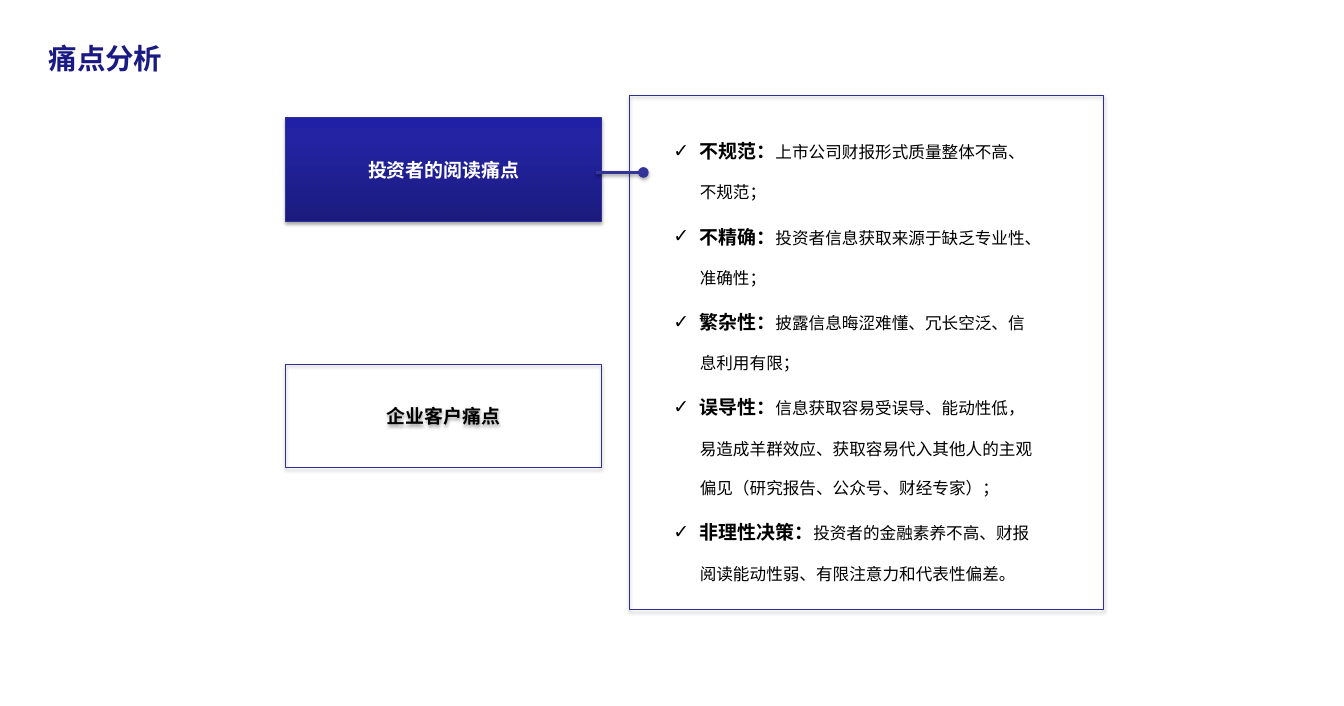
from copy import deepcopy
from dataclasses import dataclass

from lxml.etree import SubElement as Sub
from pptx import Presentation
from pptx.dml.color import RGBColor as RGB
from pptx.enum.shapes import MSO_CONNECTOR as Line, MSO_SHAPE as Shape
from pptx.enum.text import MSO_ANCHOR as Anchor, MSO_AUTO_SIZE as AutoSize, PP_ALIGN as Align
from pptx.oxml.ns import qn
from pptx.util import Inches, Pt


@dataclass(frozen=True)
class Theme:
    font: str = "Noto Sans CJK SC"
    title: RGB = RGB(0x1A, 0x1A, 0x84)
    border: RGB = RGB(0x2F, 0x2F, 0x98)
    link: RGB = RGB(0x33, 0x33, 0x99)
    text: RGB = RGB(0, 0, 0)
    inverse: RGB = RGB(255, 255, 255)
    gradient: tuple = ((0, "1B1B7E"), (0.8, "2323A3"), (1, "2020A6"))
    title_size: int = 24
    heading_size: int = 16
    body_size: int = 14


@dataclass(frozen=True)
class Box:
    left: int
    top: int
    width: int
    height: int

    def share(self, x, y, w, h):
        """A box inside this one, given in percent of its size."""
        return Box(int(self.left + self.width * x / 100), int(self.top + self.height * y / 100),
                   int(self.width * w / 100), int(self.height * h / 100))

    @property
    def frame(self):
        return self.left, self.top, self.width, self.height


THEME = Theme()
PAIN_POINTS = [
    ("不规范：", "上市公司财报形式质量整体不高、不规范；"),
    ("不精确：", "投资者信息获取来源于缺乏专业性、准确性；"),
    ("繁杂性：", "披露信息晦涩难懂、冗长空泛、信息利用有限；"),
    ("误导性：", "信息获取容易受误导、能动性低，易造成羊群效应、"
                "获取容易代入其他人的主观偏见（研究报告、公众号、财经专家）；"),
    ("非理性决策：", "投资者的金融素养不高、财报阅读能动性弱、有限注意力和代表性偏差。"),
]


def add_run(paragraph, text, size, color, bold=True):
    run = paragraph.add_run()
    run.text = text
    run.font.size, run.font.bold = Pt(size), bold
    run.font.color.rgb = color
    run.font.name = THEME.font
    Sub(run._r.get_or_add_rPr(), qn("a:ea"), typeface=THEME.font)


def cast_shadow(caster, opacity, distance):
    """Soft shadow straight down; call after fill and line are set."""
    effects = Sub(caster._element.spPr, qn("a:effectLst"))
    shadow = Sub(effects, qn("a:outerShdw"), blurRad=str(Pt(3.1)), dist=str(Pt(distance)),
                 dir="5400000", rotWithShape="0")
    color = Sub(shadow, qn("a:srgbClr"), val="000000")
    Sub(color, qn("a:alpha"), val=str(opacity * 1000))


def place(placeholder, box):
    placeholder.left, placeholder.top, placeholder.width, placeholder.height = box.frame
    words = placeholder.text_frame
    words.word_wrap, words.auto_size = True, AutoSize.NONE
    return words


def add_outline(slide, box):
    outline = slide.shapes.add_shape(Shape.RECTANGLE, *box.frame)
    outline.fill.background()
    outline.line.color.rgb = THEME.border
    outline.line.width = Pt(0.75)
    return outline


def fill_gradient(topic):
    topic.fill.gradient()
    topic.fill.gradient_angle = 90
    stops = topic._element.spPr.find(".//" + qn("a:gsLst"))
    stops.append(deepcopy(stops[-1]))
    for stop, (position, color) in zip(topic.fill.gradient_stops, THEME.gradient):
        stop.position = position
        stop.color.rgb = RGB.from_string(color)


def add_title(slide, box, text):
    words = place(slide.shapes.title, box)
    words.vertical_anchor = Anchor.MIDDLE
    heading = words.paragraphs[0]
    heading.alignment = Align.LEFT
    add_run(heading, text, THEME.title_size, THEME.title)


def add_topic(slide, box, text, active=False):
    topic = add_outline(slide, box)
    if active:
        fill_gradient(topic)
    cast_shadow(topic, *((35, 1.8) if active else (38, 1.6)))
    topic.text_frame.vertical_anchor = Anchor.MIDDLE
    label = topic.text_frame.paragraphs[0]
    label.alignment = Align.CENTER
    add_run(label, text, THEME.heading_size, THEME.inverse if active else THEME.text)


def add_details(slide, box, points):
    cast_shadow(add_outline(slide, box), 38, 1.6)
    words = place(slide.placeholders[1], box.share(7.39, 3.32, 79.46, 93.36))
    words.vertical_anchor = Anchor.TOP
    for index, (name, detail) in enumerate(points):
        point = words.add_paragraph() if index else words.paragraphs[0]
        point.line_spacing, point.space_before = 2.0, Pt(0)
        layout = point._p.get_or_add_pPr()
        layout.set("marL", str(Inches(0.31)))
        layout.set("indent", str(-Inches(0.31)))
        Sub(layout, qn("a:buChar"), char="✓")
        add_run(point, name, THEME.heading_size, THEME.text)
        add_run(point, detail, THEME.body_size, THEME.text, bold=False)


def add_link(slide, box):
    link = slide.shapes.add_connector(Line.STRAIGHT, box.left, box.top,
                                      box.left + box.width, box.top + box.height)
    link.line.color.rgb = THEME.link
    link.line.width = Pt(3)
    Sub(link._element.spPr.find(qn("a:ln")), qn("a:tailEnd"), type="oval")
    cast_shadow(link, 35, 1.8)


def main():
    deck = Presentation()
    deck.slide_width, deck.slide_height = Inches(15.75), Inches(8.27)
    slide = deck.slides.add_slide(deck.slide_layouts[1])
    page = Box(0, 0, deck.slide_width, deck.slide_height)

    # Title
    add_title(slide, page.share(2.98, 5.2, 57.46, 6.17), "痛点分析")
    # Details of the chosen topic
    add_details(slide, page.share(46.86, 13.54, 35.24, 72.79), PAIN_POINTS)
    # Topics on the left
    add_topic(slide, page.share(21.27, 16.69, 23.49, 14.63), "投资者的阅读痛点", active=True)
    add_topic(slide, page.share(21.27, 51.63, 23.49, 14.63), "企业客户痛点")
    # Link from topic to details
    add_link(slide, page.share(44.32, 24.43, 3.55, 0))

    deck.save("out.pptx")


if __name__ == "__main__":
    main()
